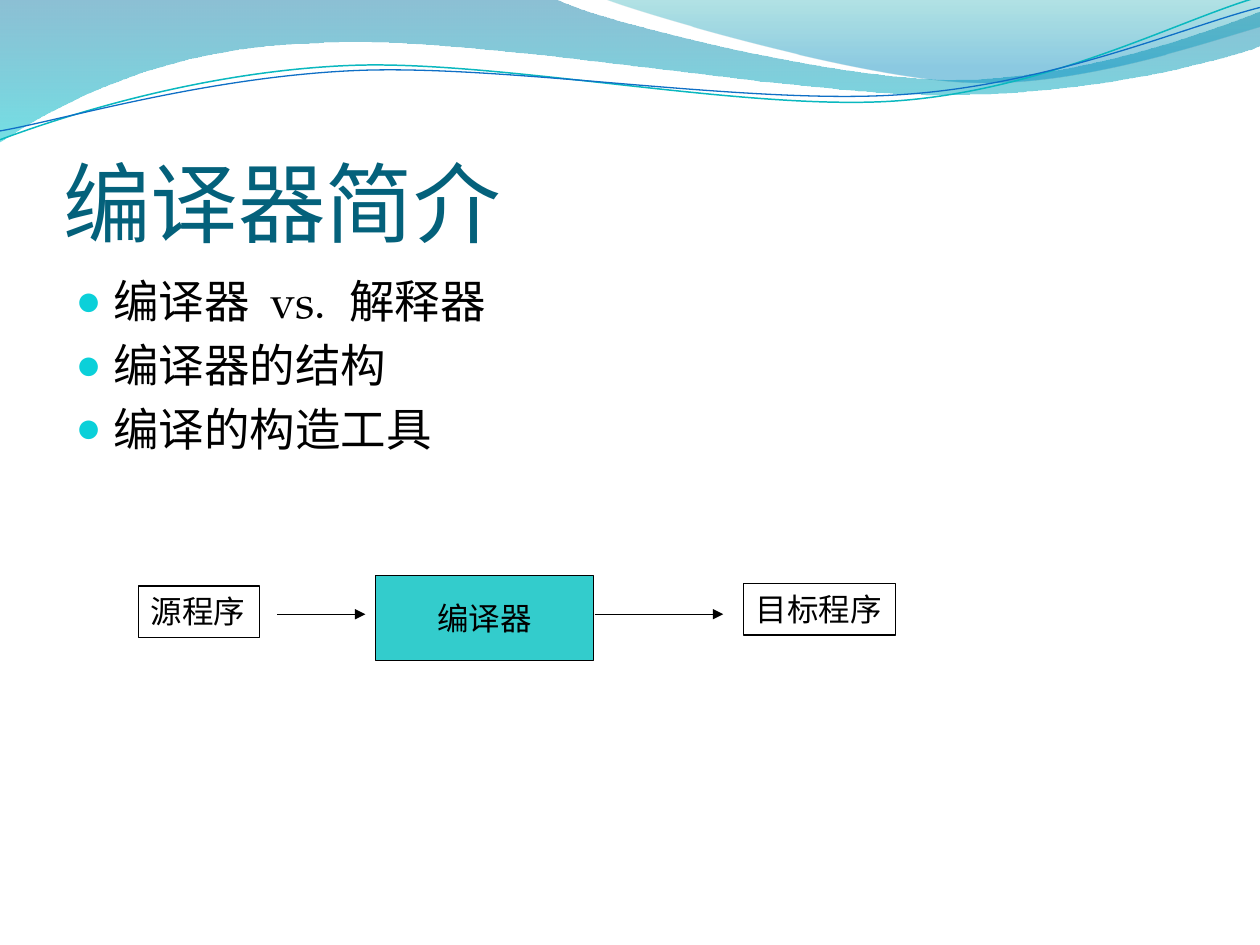
from math import cos, radians, sin
from lxml.etree import SubElement
from pptx import Presentation
from pptx.dml.color import RGBColor as Rgb
from pptx.enum.shapes import MSO_CONNECTOR as Link, MSO_SHAPE as Kind
from pptx.enum.text import MSO_ANCHOR as Anchor, PP_ALIGN as Align
from pptx.oxml.ns import qn
from pptx.util import Inches, Pt

# Lengths are columns and rows of a 100 by 75 grid.
COLS, ROWS = 100, 75
CELL = Inches(0.1)
TILT = -2.7

BLACK = Rgb(0x00, 0x00, 0x00)
TITLE = Rgb(0x04, 0x61, 0x7B)
DOT = Rgb(0x0B, 0xD0, 0xD9)
BOX = Rgb(0x33, 0xCC, 0xCC)
TEAL = Rgb(0x0A, 0xB8, 0xBF)
BLUE = Rgb(0x0F, 0x6F, 0xC6)

# A wave is a start point, then line ends (2 numbers) or curves (6 numbers).
# A gradient stop is position, colour and percent of opacity.
BANDS = [
    ([(0, 0), (44, -0.1), (47.6, 1.7, 66.4, 6.3, 75.8, 6.3),
      (85.3, 6.3, 95.8, 2.6, 100, 0.9), (100.1, 3.6),
      (98.3, 4.4, 87, 7.6, 74.6, 7.5), (62.2, 7.5, 38.2, 2.8, 25.7, 3.4),
      (12.9, 3.6, 4.6, 8.3, -0.1, 11.3)],
     [(0, Rgb(0x00, 0x74, 0xA1), 45), (1, Rgb(0x00, 0xC6, 0xCF), 55)]),
    ([(47.9, -0.1), (50.9, 1.1, 68.2, 6.2, 76.9, 6.5),
      (85.6, 6.9, 96.1, 3.2, 100, 2.1), (100, 0)],
     [(0, Rgb(0x00, 0xA1, 0xA9), 30), (0.8, Rgb(0x00, 0x8B, 0xBF), 45)]),
]
STROKES = [
    ([(0, 11.1), (4.8, 9.3, 15.8, 5.7, 27.7, 5.2),
      (39.5, 4.7, 59.3, 8.9, 71.3, 8), (83.3, 7.1, 93.8, 1.5, 99.8, -0.2)],
     TEAL, 0.85),
    ([(0, 10.4), (4.7, 9.6, 16.4, 6.1, 28.3, 5.6),
      (40.3, 5.1, 59.7, 8.4, 71.7, 7.5), (83.6, 6.7, 94.1, 2.1, 100, 0.6)],
     BLUE, 0.75),
]
POINTS = ["编译器  vs.  解释器", "编译器的结构", "编译的构造工具"]


def grid(*nums):
    return [round(n * CELL) for n in nums]


def pairs(nums):
    return list(zip(nums[::2], nums[1::2]))


def turn(parts, angle):
    """Turn all points about the middle between the wave's two ends."""
    x0, y0 = ((a + b) / 2 for a, b in zip(parts[0], parts[-1][-2:]))
    c, s = cos(radians(angle)), sin(radians(angle))
    return [[n for x, y in pairs(part)
             for n in (x0 + (x - x0) * c - (y - y0) * s,
                       y0 + (x - x0) * s + (y - y0) * c)]
            for part in parts]


def wave(slide, parts, close):
    first, *rest = [grid(*part) for part in parts]
    pen = slide.shapes.build_freeform(*first)
    pen.add_line_segments([part[-2:] for part in rest], close=close)
    shape = pen.convert_to_shape()
    shape.shadow.inherit = False
    steps = list(shape.element.iter(qn("a:lnTo")))
    for step, part in zip(steps, rest):
        if len(part) == 6:
            step.tag = qn("a:cubicBezTo")
            step.clear()
            for x, y in pairs(part):
                SubElement(step, qn("a:pt"), x=str(x - shape.left),
                           y=str(y - shape.top))
    return shape


def band(slide, parts, stops):
    shape = wave(slide, parts, True)
    shape.line.fill.background()
    fill = shape.fill
    fill.gradient()
    fill.gradient_angle = 270
    for stop, (spot, color, _) in zip(fill.gradient_stops, stops):
        stop.position = spot
        stop.color.rgb = color
    for tag, (_, _, alpha) in zip(shape.element.iter(qn("a:srgbClr")), stops):
        SubElement(tag, qn("a:alpha"), val=str(alpha * 1000))


def stroke(slide, parts, color, width):
    shape = wave(slide, turn(parts, -TILT), False)
    shape.rotation = TILT
    shape.fill.background()
    shape.line.color.rgb = color
    shape.line.width = Pt(width)


def place(shape, *spot):
    for name, size in zip(("left", "top", "width", "height"), grid(*spot)):
        setattr(shape, name, size)


def style(para, size, face, color, align=Align.LEFT):
    para.alignment = align
    for name, value in {"size": Pt(size), "name": face}.items():
        setattr(para.font, name, value)
    para.font.color.rgb = color


def head(slide, text):
    title = slide.shapes.title
    place(title, 5, 7.7, 90, 12.5)
    frame = title.text_frame
    frame.text = text
    form = {"vertical_anchor": Anchor.BOTTOM, "margin_left": 0,
            "margin_right": 0, "margin_bottom": 0}
    for name, value in form.items():
        setattr(frame, name, value)
    style(frame.paragraphs[0], 50, "Calibri", TITLE)


def bullet(para):
    props = para._p.get_or_add_pPr()
    props.set("marL", str(Inches(0.3)))
    props.set("indent", str(-Inches(0.3)))
    color = SubElement(props, qn("a:buClr"))
    SubElement(color, qn("a:srgbClr"), val=str(DOT))
    SubElement(props, qn("a:buSzPct"), val="95000")
    SubElement(props, qn("a:buChar"), char="●")


def listing(slide, lines):
    body = slide.placeholders[1]
    place(body, 5, 21.2, 90, 48)
    frame = body.text_frame
    frame.text = "\n".join(lines)
    for para in frame.paragraphs:
        style(para, 26, "TeX Gyre Pagella", BLACK)
        bullet(para)


def box(slide, text, spot, kind=Kind.RECTANGLE, color=None,
        anchor=Anchor.TOP, align=Align.LEFT):
    shape = slide.shapes.add_shape(kind, *grid(*spot))
    shape.shadow.inherit = False
    if color:
        shape.fill.solid()
        shape.fill.fore_color.rgb = color
    else:
        shape.fill.background()
    shape.line.color.rgb = BLACK
    shape.line.width = Pt(0.75)
    frame = shape.text_frame
    frame.text = text
    frame.word_wrap = False
    frame.vertical_anchor = anchor
    style(frame.paragraphs[0], 18, "DejaVu Sans", BLACK, align)


def arrow(slide, left, right, row):
    link = slide.shapes.add_connector(
        Link.STRAIGHT, *grid(left, row, right, row))
    link.line.color.rgb = BLACK
    link.line.width = Pt(0.75)
    SubElement(link.line._get_or_add_ln(), qn("a:tailEnd"), type="triangle")
    SubElement(link.element.spPr, qn("a:effectLst"))


def main():
    deck = Presentation()
    deck.slide_width, deck.slide_height = grid(COLS, ROWS)
    slide = deck.slides.add_slide(deck.slide_layouts[1])
    for parts, stops in BANDS:
        band(slide, parts, stops)
    for parts, color, width in STROKES:
        stroke(slide, parts, color, width)
    head(slide, "编译器简介")
    listing(slide, POINTS)
    box(slide, "编译器", (29.8, 45.7, 17.3, 6.7), Kind.FLOWCHART_PROCESS,
        BOX, Anchor.MIDDLE, Align.CENTER)
    box(slide, "源程序", (11, 46.5, 9.6, 4.1))
    arrow(slide, 22, 29, 48.75)
    box(slide, "目标程序", (59, 46.3, 12.1, 4.1))
    arrow(slide, 47.2, 57.4, 48.75)
    deck.save("out.pptx")


if __name__ == "__main__":
    main()
